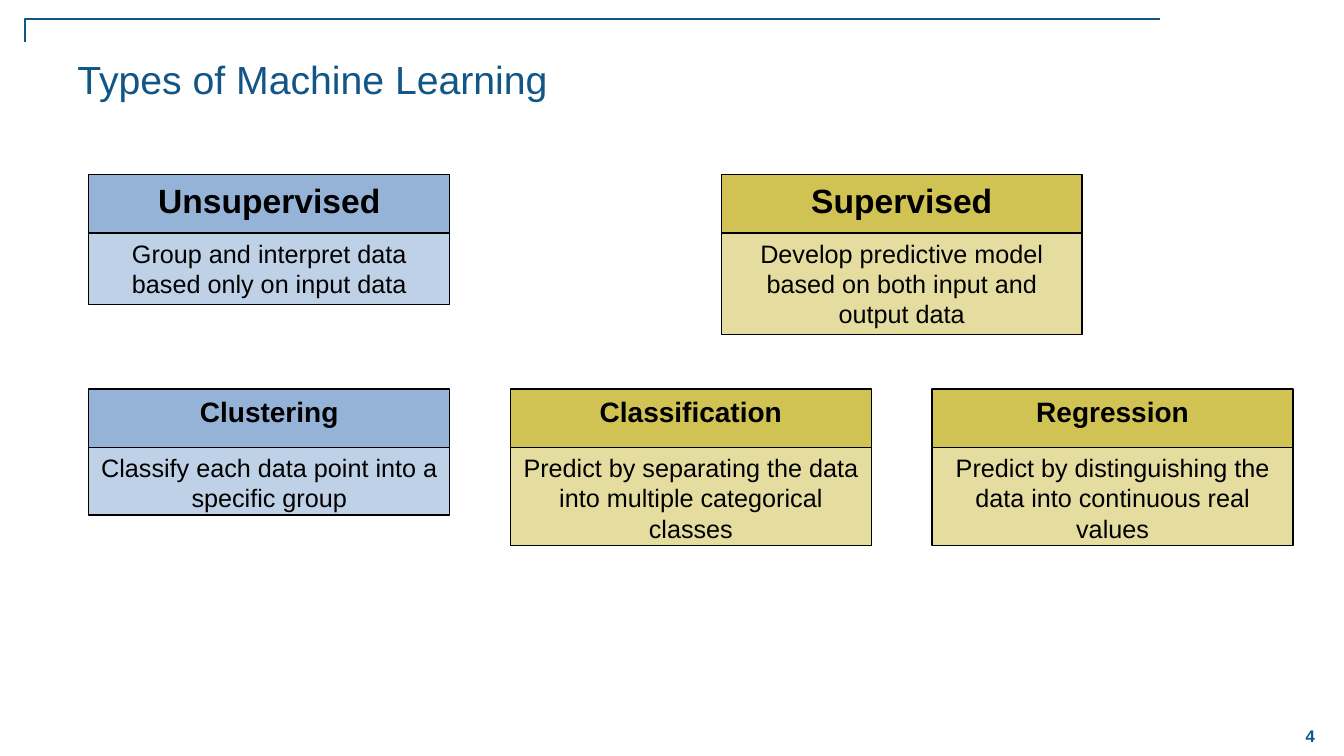
from dataclasses import dataclass

from pptx import Presentation
from pptx import util as u
from pptx.dml.color import RGBColor
from pptx.enum import shapes, text


@dataclass(frozen=True)
class Theme:
    font: str = "Arial"
    blue: str = "125687"
    ink: str = "000000"
    sky: tuple[str, str] = ("95B3D7", "BFD1E7")
    gold: tuple[str, str] = ("D0C253", "E5DD9F")
    title: int = 28
    head: int = 24
    sub: int = 20
    body: int = 18
    num: int = 12


@dataclass(frozen=True)
class Card:
    head: str
    body: str
    col: float
    top: float
    size: int
    high: float  # height of the body box
    fills: tuple[str, str]


T = Theme()
LEFT, STEP, WIDE, HEAD = 63.4, 301.2, 257.8, 41.8
ROWS = (124.6, 277.9)

CARDS = (
    Card("Supervised", "Develop predictive model based on both input and output data",
         1.5, ROWS[0], T.head, 72.7, T.gold),
    Card("Unsupervised", "Group and interpret data based only on input data",
         0, ROWS[0], T.head, 51, T.sky),
    Card("Clustering", "Classify each data point into a specific group",
         0, ROWS[1], T.sub, 48.2, T.sky),
    Card("Classification", "Predict by separating the data into multiple categorical classes",
         1, ROWS[1], T.sub, 70, T.gold),
    Card("Regression", "Predict by distinguishing the data into continuous real values",
         2, ROWS[1], T.sub, 70, T.gold),
)


def write(shape, words: str, *, size: int, color: str = T.ink, bold: bool = False,
          align=text.PP_ALIGN.CENTER, anchor=text.MSO_ANCHOR.TOP) -> None:
    frame = shape.text_frame
    frame.word_wrap = True
    frame.vertical_anchor = anchor
    par = frame.paragraphs[0]
    par.alignment = align
    run = par.add_run()
    run.text = words
    run.font.name = T.font
    run.font.size = u.Pt(size)
    run.font.bold = bold
    run.font.color.rgb = RGBColor.from_string(color)


def label(slide, words: str, box: tuple[float, ...], **form) -> None:
    write(slide.shapes.add_textbox(*map(u.Pt, box)), words, **form)


def block(group, box: tuple[float, ...], fill: str):
    rect = group.shapes.add_shape(shapes.MSO_SHAPE.RECTANGLE, *map(u.Pt, box))
    rect.shadow.inherit = False
    rect.fill.solid()
    rect.fill.fore_color.rgb = RGBColor.from_string(fill)
    rect.line.color.rgb = RGBColor.from_string(T.ink)
    rect.line.width = u.Pt(1)
    return rect


def draw(slide, card: Card) -> None:
    group = slide.shapes.add_group_shape()
    left = LEFT + card.col * STEP
    head = block(group, (left, card.top, WIDE, HEAD), card.fills[0])
    write(head, card.head, size=card.size, bold=True)
    body = block(group, (left, card.top + HEAD, WIDE, card.high), card.fills[1])
    write(body, card.body, size=T.body)


def corner(slide) -> None:
    path = slide.shapes.build_freeform(u.Pt(828.7), u.Pt(13.7))
    path.add_line_segments([(u.Pt(18), u.Pt(13.7)), (u.Pt(18), u.Pt(30.2))], close=False)
    line = path.convert_to_shape()
    line.shadow.inherit = False
    line.fill.background()
    line.line.color.rgb = RGBColor.from_string(T.blue)
    line.line.width = u.Pt(1)


def main() -> None:
    deck = Presentation()
    deck.slide_width, deck.slide_height = u.Pt(960), u.Pt(540)
    slide = deck.slides.add_slide(deck.slide_layouts[6])

    # Page frame, number and title
    label(slide, "4", (912, 510.5, 48, 30), size=T.num, color=T.blue, bold=True,
          anchor=text.MSO_ANCHOR.MIDDLE)
    corner(slide)
    label(slide, "Types of Machine Learning", (48.2, 36, 848, 77.8), size=T.title,
          color=T.blue, align=text.PP_ALIGN.LEFT)

    # Cards for each type of learning
    for card in CARDS:
        draw(slide, card)

    deck.save("out.pptx")


if __name__ == "__main__":
    main()
